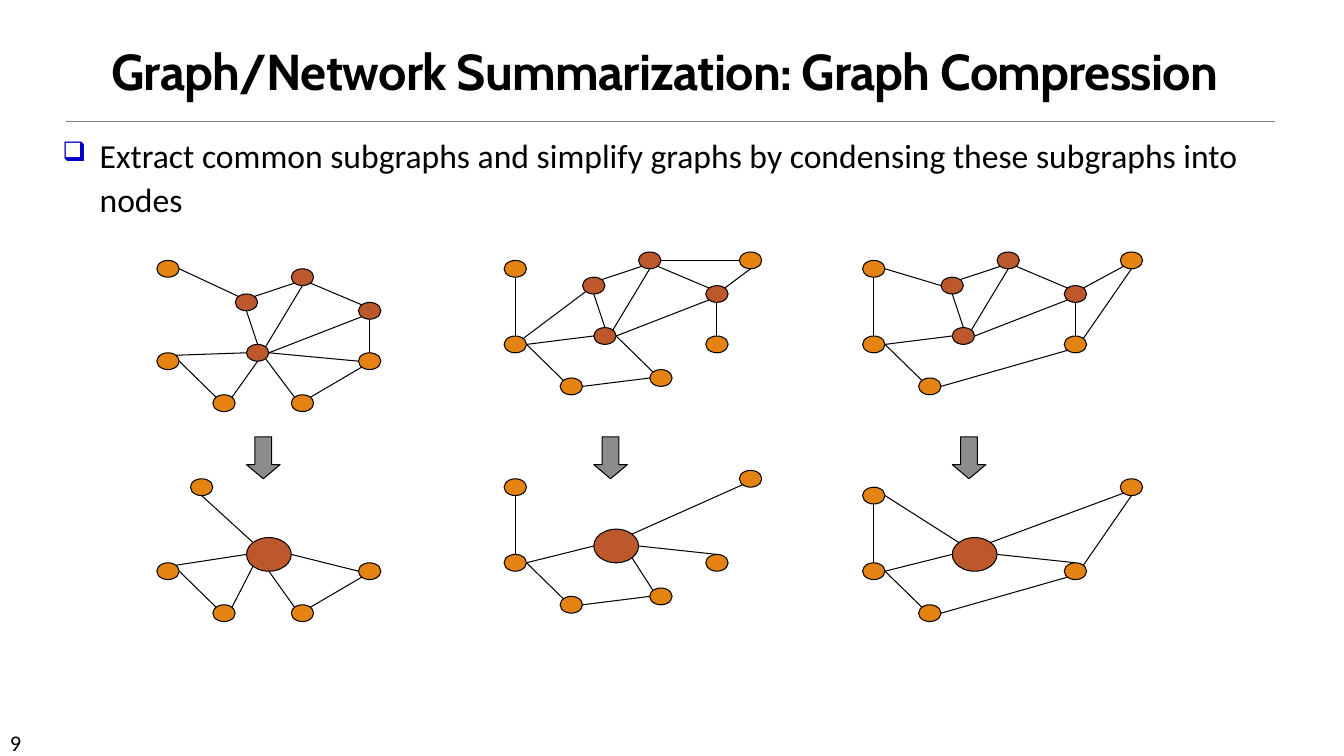
from dataclasses import dataclass

from lxml import etree
from pptx import Presentation
from pptx import util as u
from pptx.dml.color import RGBColor
from pptx.enum import shapes, text
from pptx.oxml.ns import qn

TITLE = "Graph/Network Summarization: Graph Compression"
POINT = "Extract common subgraphs and simplify graphs by condensing these subgraphs into nodes"
PAGE_NUMBER = "9"

# Nodes are (column, row) centres on the grid, counted from the graph's origin.
SUBGRAPH = {"A": (7, 3), "B": (12, 0), "C": (8, 9), "D": (18, 4)}
SUBGRAPH_EDGES = "A.ne-B.sw A.s-C.n B.se-D.nw C.e-D.sw B.s-C.ne"
CONDENSED = {"Hub": (9, 8)}
COMMON = {"left": (0, 10), "low": (5, 15), "right": (18, 10)}
COMMON_EDGES = "left.e-low.nw"

# Each graph: origin column, then (origin row, outer nodes, edges) before and after.
GRAPHS = [
    (15,
     (33, {"up": (0, -1), "dip": (12, 15)},
      "A.nw-up.e D.s-right.n C.e-right.w C.s-low.ne C.w-left.ne "
      "right.sw-dip.ne C.se-dip.nw"),
     (58, {"up": (3, 0), "dip": (12, 15)},
      "Hub.nw-up.s Hub.e-right.w Hub.sw-low.ne Hub.w-left.ne "
      "right.sw-dip.ne Hub.s-dip.nw")),
    (46,
     (31, {"up": (0, 1), "dip": (13, 14), "far": (21, 0)},
      "left.n-up.s D.s-right.n C.e-dip.nw C.w-left.e low.e-dip.w "
      "B.e-far.w D.ne-far.s A.sw-left.ne"),
     (57, {"up": (0, 1), "dip": (13, 14), "far": (21, 0)},
      "left.n-up.s Hub.e-right.n Hub.se-dip.nw Hub.w-left.e "
      "low.e-dip.w Hub.ne-far.sw")),
    (78,
     (31, {"up": (0, 1), "far": (23, 0)},
      "left.n-up.s D.s-right.n C.w-left.e low.e-right.sw "
      "right.ne-far.s D.ne-far.sw up.e-A.w"),
     (58, {"up": (0, 1), "far": (23, 0)},
      "left.n-up.s Hub.e-right.n Hub.w-left.e low.e-right.sw "
      "right.ne-far.s Hub.ne-far.sw up.e-Hub.nw")),
]
ARROW_COLUMN, ARROW_ROW = 7, 52


@dataclass(frozen=True)
class Theme:
    ink = RGBColor.from_string("000000")
    rule = RGBColor.from_string("808080")
    outer = RGBColor.from_string("E48312")
    shared = RGBColor.from_string("BD582C")
    arrow = RGBColor.from_string("8C8C8C")
    bullet = "0000CC"
    heading_font, body_font = "Cabin", "Calibri"
    title_size, body_size, number_size = u.Pt(36), u.Pt(24), u.Pt(16)
    outline, hairline = u.Pt(0.75), u.Pt(0.5)


COLUMN, ROW = 1 / 9, 1 / 12  # grid pitch in inches
DIAGONAL = 0.5 ** 0.5
SITES = {"n": (0, -1), "s": (0, 1), "w": (-1, 0), "e": (1, 0),
         "nw": (-DIAGONAL, -DIAGONAL), "ne": (DIAGONAL, -DIAGONAL),
         "sw": (-DIAGONAL, DIAGONAL), "se": (DIAGONAL, DIAGONAL)}


def grid(column, row):
    return u.Inches(column * COLUMN), u.Inches(row * ROW)


def add_line(slide, start, end, color=Theme.ink, width=Theme.outline):
    line = slide.shapes.add_connector(shapes.MSO_CONNECTOR.STRAIGHT, *start, *end)
    line.line.color.rgb = color
    line.line.width = width
    etree.SubElement(line._element.spPr, qn("a:effectLst"))


def add_filled(slide, kind, column, row, columns, rows, color):
    shape = slide.shapes.add_shape(kind, *grid(column, row), *grid(columns, rows))
    shape.shadow.inherit = False
    shape.fill.solid()
    shape.fill.fore_color.rgb = color
    shape.line.color.rgb = Theme.ink
    shape.line.width = Theme.outline
    return shape


def add_text(slide, box, words, font, size):
    frame = slide.shapes.add_textbox(*(u.Inches(n) for n in box)).text_frame
    frame.word_wrap = True
    paragraph = frame.paragraphs[0]
    paragraph.text = words
    paragraph.font.name = font
    paragraph.font.size = size
    paragraph.font.color.rgb = Theme.ink
    return frame, paragraph


def add_bullet(paragraph):
    props = paragraph._p.get_or_add_pPr()
    props.set("marL", str(u.Inches(0.37)))
    props.set("indent", str(-u.Inches(0.37)))
    color = etree.Element(qn("a:buClr"))
    etree.SubElement(color, qn("a:srgbClr"), val=Theme.bullet)
    size = etree.Element(qn("a:buSzPct"), val="80000")
    mark = etree.Element(qn("a:buChar"), char="❑")
    defaults = props.find(qn("a:defRPr"))
    for element in (color, size, mark):
        defaults.addprevious(element)


def add_graph(slide, origin, nodes, edges):
    """Draw the edges between compass sites of the nodes, then the nodes."""
    centres = {name: (origin[0] + column, origin[1] + row)
               for name, (column, row) in nodes.items()}
    radius = {name: 2 if name in CONDENSED else 1 for name in nodes}

    def site(end):
        name, side = end.split(".")
        return grid(*(centre + radius[name] * step
                      for centre, step in zip(centres[name], SITES[side])))

    for edge in edges.split():
        start, end = edge.split("-")
        add_line(slide, site(start), site(end))
    for name, (column, row) in centres.items():
        r = radius[name]
        shared = name in SUBGRAPH or name in CONDENSED
        add_filled(slide, shapes.MSO_SHAPE.OVAL, column - r, row - r, 2 * r, 2 * r,
                   Theme.shared if shared else Theme.outer)


def main():
    deck = Presentation()
    deck.slide_width, deck.slide_height = u.Inches(13.33), u.Inches(7.5)
    slide = deck.slides.add_slide(deck.slide_layouts[6])

    add_line(slide, (u.Inches(0.65), u.Inches(1.2)), (u.Inches(12.65), u.Inches(1.2)),
             Theme.rule, Theme.hairline)
    add_text(slide, (0, 7.18, 1.17, 0.3), PAGE_NUMBER, Theme.body_font, Theme.number_size)

    frame, title = add_text(slide, (0.38, 0.31, 12.43, 0.74), TITLE,
                            Theme.heading_font, Theme.title_size)
    frame.vertical_anchor = text.MSO_ANCHOR.BOTTOM
    title.alignment = text.PP_ALIGN.CENTER
    title.line_spacing = 0.85
    title.font.bold = True
    title.runs[0]._r.get_or_add_rPr().set("spc", "-50")

    _, point = add_text(slide, (0.52, 1.25, 12.33, 1.08), POINT,
                        Theme.body_font, Theme.body_size)
    point.line_spacing = 1.1
    add_bullet(point)

    for column, before, after in GRAPHS:
        for (row, outer, edges), core, core_edges in (
                (before, SUBGRAPH, SUBGRAPH_EDGES), (after, CONDENSED, "")):
            add_graph(slide, (column, row), {**COMMON, **outer, **core},
                      f"{COMMON_EDGES} {core_edges} {edges}")
        arrow = add_filled(slide, shapes.MSO_SHAPE.DOWN_ARROW, column + ARROW_COLUMN,
                           ARROW_ROW, 3, 5, Theme.arrow)
        arrow.adjustments[0], arrow.adjustments[1] = 0.5, 0.42

    deck.save("out.pptx")


if __name__ == "__main__":
    main()
